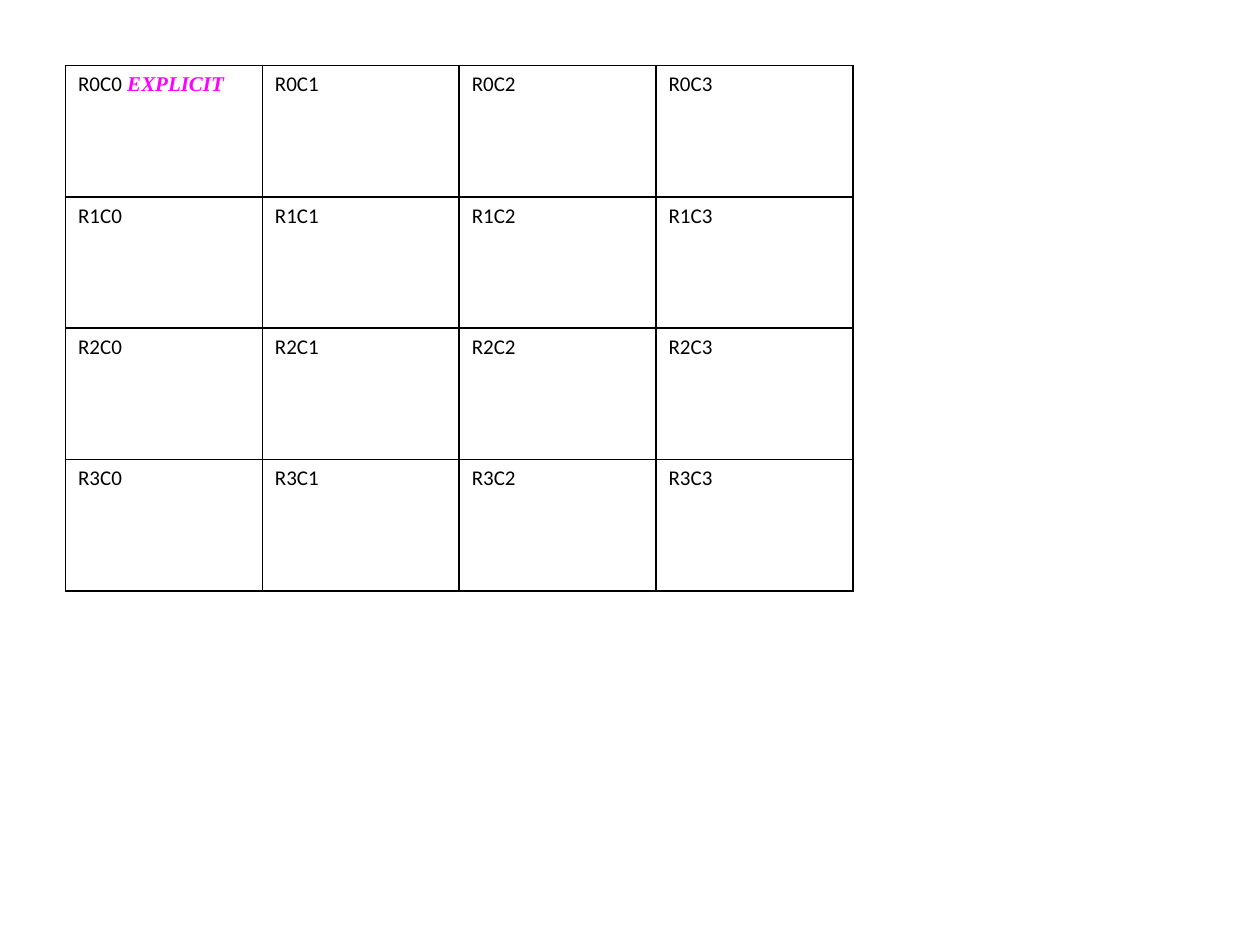
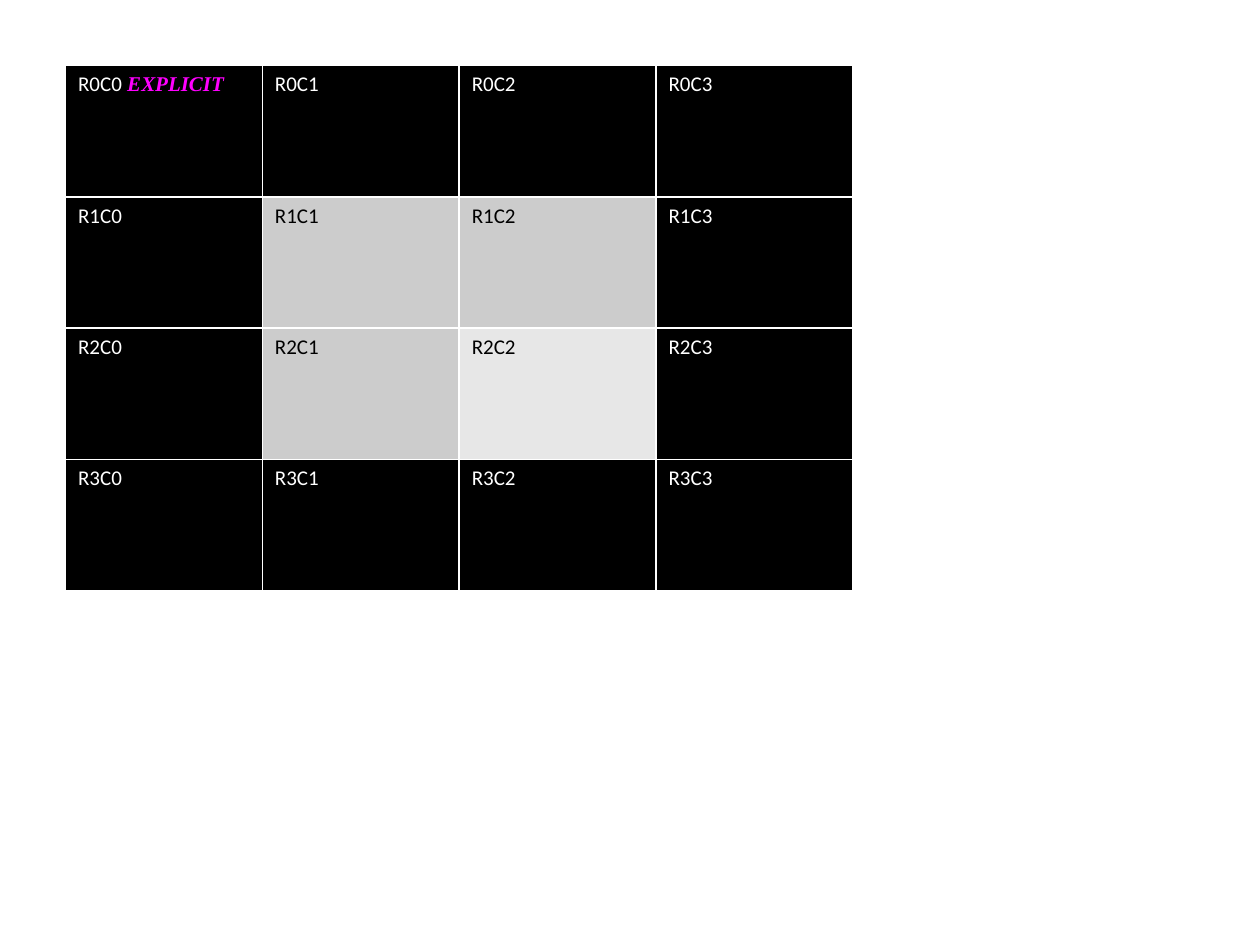
from lxml import etree
from pptx import Presentation
from pptx.dml.color import RGBColor
from pptx.oxml.ns import qn
from pptx.util import Inches, Pt

BLACK = RGBColor(0x00, 0x00, 0x00)
WHITE = RGBColor(0xFF, 0xFF, 0xFF)
GRAY = RGBColor(0xCC, 0xCC, 0xCC)
PALE = RGBColor(0xE7, 0xE7, 0xE7)
PINK = RGBColor(0xFF, 0x00, 0xFF)
PLAIN_STYLE = "{2D5ABB26-0587-4C30-8999-92F81FD0307C}"
SIZE = 4
LAST = SIZE - 1


def add_run(par, text, color, **format):
    run = par.add_run()
    run.text = text
    run.font.size = Pt(12)
    run.font.color.rgb = color
    for name, value in format.items():
        setattr(run.font, name, value)


def set_borders(cell, color):
    props = cell._tc.get_or_add_tcPr()
    for side in ("lnL", "lnR", "lnT", "lnB"):
        line = etree.SubElement(props, qn(f"a:{side}"), w=str(Pt(1)))
        solid = etree.SubElement(line, qn("a:solidFill"))
        etree.SubElement(solid, qn("a:srgbClr"), val=str(color))


prs = Presentation()
prs.slide_width = Inches(10)
prs.slide_height = Inches(7.5)

# Each slide: is the table filled, and its border color
for filled, border in ((False, BLACK), (True, WHITE)):
    slide = prs.slides.add_slide(prs.slide_layouts[6])
    table = slide.shapes.add_table(
        SIZE, SIZE, Inches(0.52), Inches(0.52), Inches(6.25), Inches(4.17)
    ).table
    table._tbl.tblPr.find(qn("a:tableStyleId")).text = PLAIN_STYLE
    table.horz_banding = False
    for row in range(SIZE):
        for col in range(SIZE):
            cell = table.cell(row, col)
            edge = row in (0, LAST) or col in (0, LAST)
            set_borders(cell, border)
            if filled:
                cell.fill.solid()
                inner = PALE if row == col == 2 else GRAY
                cell.fill.fore_color.rgb = BLACK if edge else inner
            else:
                cell.fill.background()
            ink = WHITE if filled and edge else BLACK
            par = cell.text_frame.paragraphs[0]
            add_run(par, f"R{row}C{col}", ink, name="Calibri", bold=False)
            if row == col == 0:
                add_run(par, " EXPLICIT", PINK, name="Times New Roman",
                        bold=True, italic=True)

prs.save("out.pptx")
